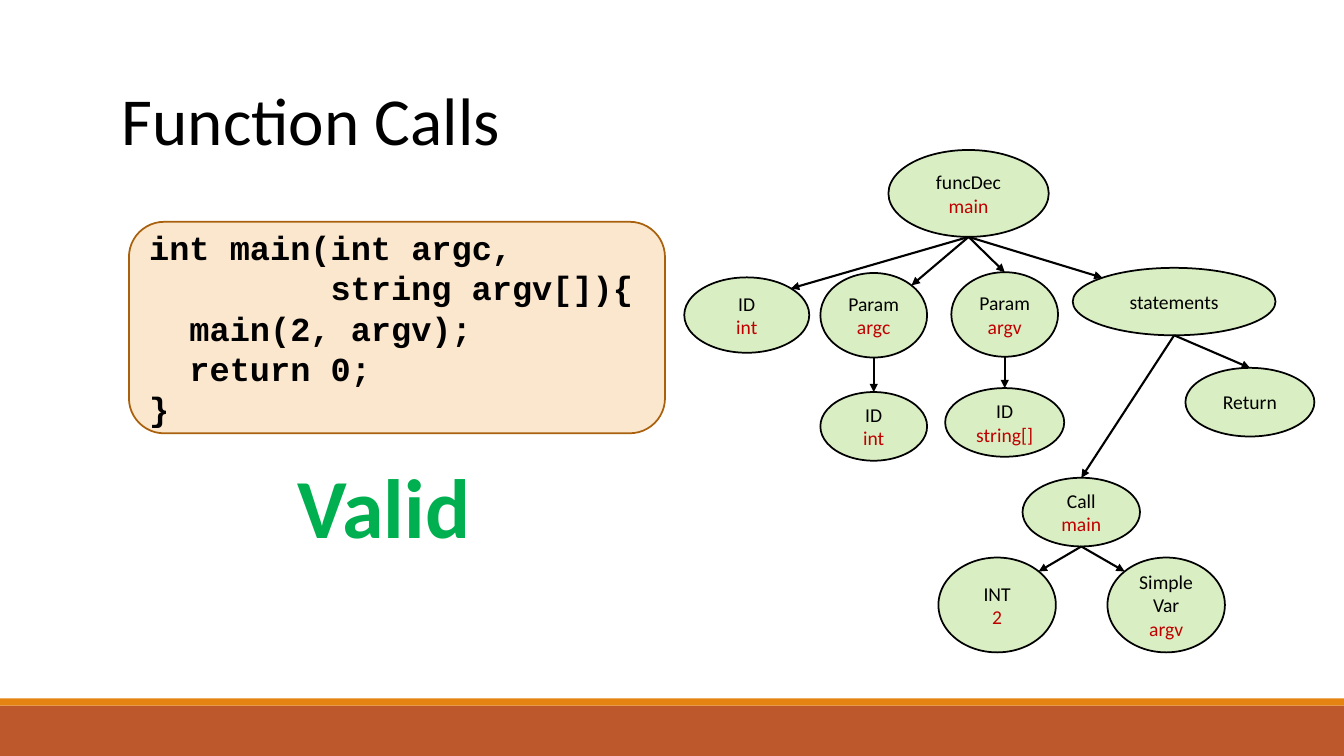
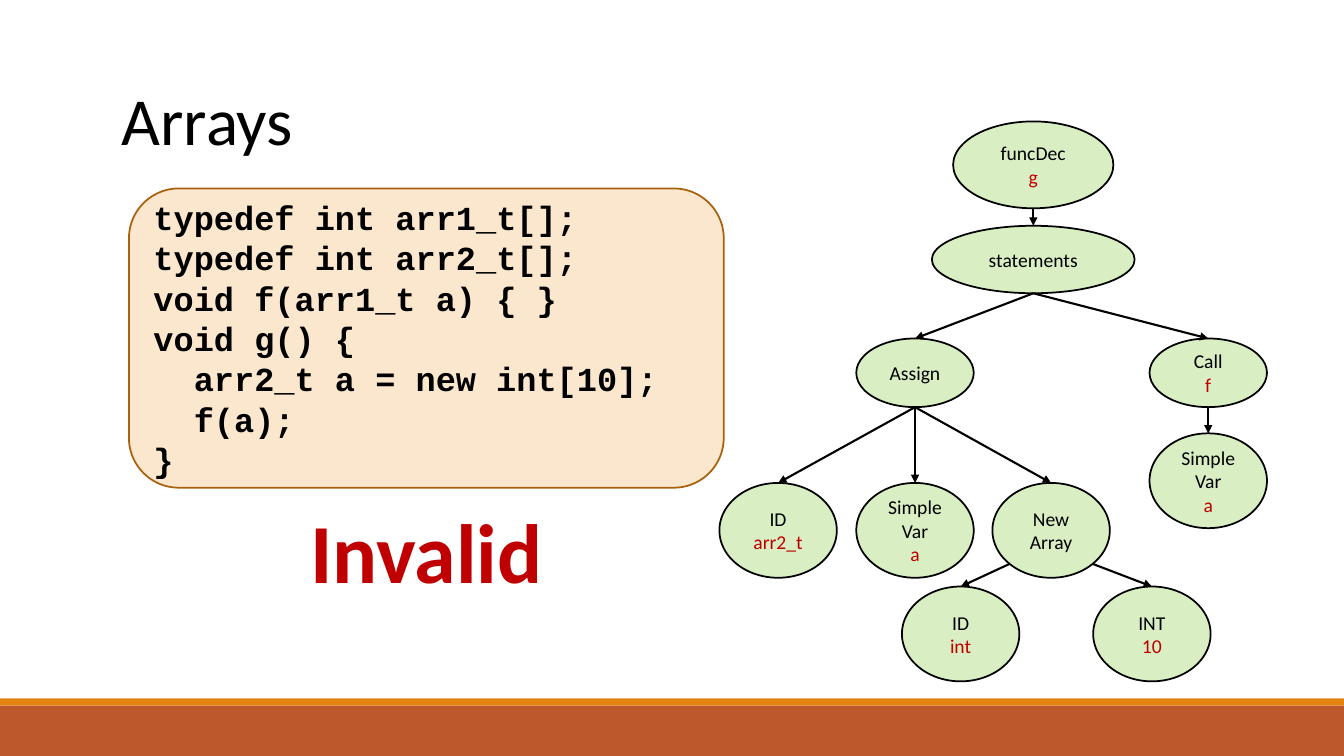
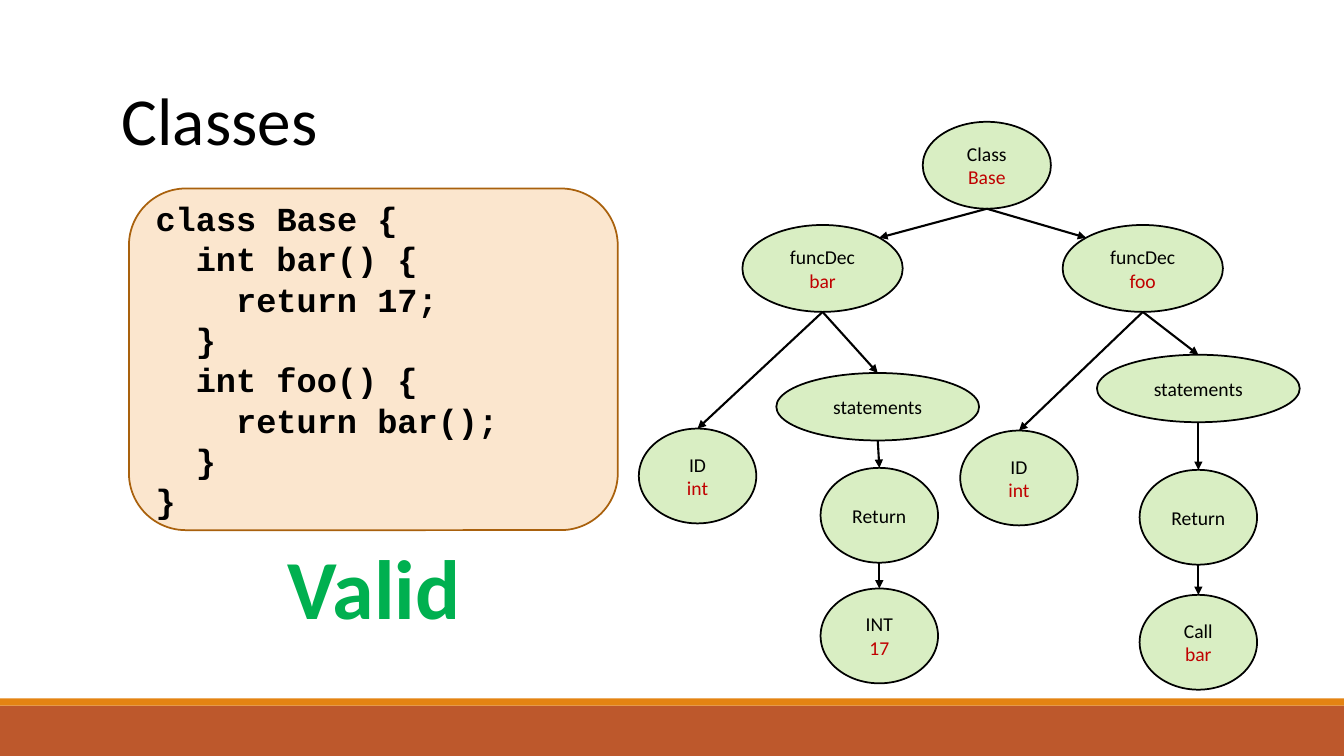
from dataclasses import dataclass
from math import sqrt

from lxml.etree import SubElement
from pptx import Presentation
from pptx.dml.color import RGBColor
from pptx.enum.shapes import MSO_CONNECTOR, MSO_SHAPE
from pptx.enum.text import MSO_ANCHOR, PP_ALIGN
from pptx.oxml.ns import qn
from pptx.util import Cm, Pt

# Shared look
WIDTH, HEIGHT = 33.87, 19.05
BLACK, RED, GREEN = "000000", "C00000", "00B050"
NODE_FILL, NODE_OPACITY = "92D050", 34
CODE_FILL, CODE_LINE = "FBE6CE", "A9610D"
BANDS = [(17.78, 1.27, "BD582C"), (17.6, 0.18, "E48312")]
TITLE_FONT = {"name": "Calibri", "size": Pt(48)}
VERDICT_FONT = {"name": "Calibri", "size": Pt(60), "bold": True}
NODE_FONT = {"name": "Calibri", "size": Pt(14)}
CODE_FONT = {"name": "Courier New", "size": Pt(24), "bold": True}
CODE_COLUMN = Pt(14.4)
NO_MARGINS = {"margin_left": 0, "margin_right": 0,
              "margin_top": 0, "margin_bottom": 0}
DIAGONAL = sqrt(0.5)

# Node sizes, width by height
ROOT = (4.04, 2.19)
CLASS = (3.23, 2.19)
STATEMENTS = (5.11, 1.7)
CALL = (2.96, 1.73)
LEAF = (2.96, 2.39)
PARAM = (2.69, 2.13)
PARAM_TYPE = (2.69, 1.73)


@dataclass
class Node:
    """A tree node, placed by its centre line and its top."""
    x: float
    top: float
    size: tuple
    label: str
    value: str = ""

    def edge_point(self, side, upward):
        """Outline point: side is -1 left, 0 middle or 1 right."""
        width, height = self.size
        reach = DIAGONAL if side else 1
        rise = -reach if upward else reach
        return (Cm(self.x + side * DIAGONAL * width / 2),
                Cm(self.top + height / 2 * (1 + rise)))


def color(hex_code):
    return RGBColor.from_string(hex_code)


def set_formats(target, formats):
    for name, value in formats.items():
        setattr(target, name, value)


def add_line(frame, index, text, font, hex_code, align=PP_ALIGN.LEFT):
    paragraph = frame.paragraphs[0] if index == 0 else frame.add_paragraph()
    paragraph.alignment = align
    run = paragraph.add_run()
    run.text = text
    set_formats(run.font, font)
    run.font.color.rgb = color(hex_code)
    return paragraph


def add_box(slide, preset, left, top, width, height, fill, line=None):
    box = slide.shapes.add_shape(preset, Cm(left), Cm(top), Cm(width), Cm(height))
    box.shadow.inherit = False
    box.fill.solid()
    box.fill.fore_color.rgb = color(fill)
    if line:
        box.line.color.rgb = color(line)
        box.line.width = Pt(1.25)
    else:
        box.line.fill.background()
    box.text_frame.vertical_anchor = MSO_ANCHOR.MIDDLE
    return box


def add_text(slide, left, top, width, height, text, font, hex_code, align):
    frame = slide.shapes.add_textbox(
        Cm(left), Cm(top), Cm(width), Cm(height)).text_frame
    frame.word_wrap = True
    add_line(frame, 0, text, font, hex_code, align)


def add_code(slide, top, width, height, code):
    frame = add_box(slide, MSO_SHAPE.ROUNDED_RECTANGLE, 3.25, top, width, height,
                    CODE_FILL, CODE_LINE).text_frame
    for index, source_line in enumerate(code.strip().splitlines()):
        statement = source_line.lstrip()
        columns = len(source_line) - len(statement)
        paragraph = add_line(frame, index, statement, CODE_FONT, BLACK)
        # Indent by whole monospaced columns
        properties = paragraph._p.get_or_add_pPr()
        properties.set("marL", str(columns * CODE_COLUMN))
        properties.set("indent", "0")


def add_verdict(slide, left, top, valid):
    add_text(slide, left, top, 7.77, 2.82, "Valid" if valid else "Invalid",
             VERDICT_FONT, GREEN if valid else RED, PP_ALIGN.CENTER)


def add_node(slide, node):
    width, height = node.size
    oval = add_box(slide, MSO_SHAPE.OVAL, node.x - width / 2, node.top,
                   width, height, NODE_FILL, BLACK)
    fill_color = oval._element.spPr.find(qn("a:solidFill"))[0]
    SubElement(fill_color, qn("a:alpha"), val=str(NODE_OPACITY * 1000))
    set_formats(oval.text_frame, NO_MARGINS)
    lines = [(word, BLACK) for word in node.label.split()]
    if node.value:
        lines.append((node.value, RED))
    for index, (text, hex_code) in enumerate(lines):
        add_line(oval.text_frame, index, text, NODE_FONT, hex_code,
                 PP_ALIGN.CENTER)


def add_arrow(slide, parent, child, child_side=0, parent_side=0):
    arrow = slide.shapes.add_connector(
        MSO_CONNECTOR.STRAIGHT,
        *parent.edge_point(parent_side, upward=False),
        *child.edge_point(child_side, upward=True))
    arrow.line.color.rgb = color(BLACK)
    arrow.line.width = Pt(1.5)
    SubElement(arrow.line._get_or_add_ln(), qn("a:tailEnd"), type="triangle")
    SubElement(arrow._element.spPr, qn("a:effectLst"))


def add_tree(slide, nodes, edges):
    for node in nodes:
        add_node(slide, node)
    for edge in edges:
        add_arrow(slide, *edge)


def new_slide(deck, title):
    slide = deck.slides.add_slide(deck.slide_layouts[6])
    for top, height, fill in BANDS:
        add_box(slide, MSO_SHAPE.RECTANGLE, 0, top, WIDTH, height, fill)
    add_text(slide, 2.82, 1.85, 28.17, 2.31, title, TITLE_FONT, BLACK,
             PP_ALIGN.LEFT)
    return slide


def function_calls(deck):
    slide = new_slide(deck, "Function Calls")
    add_code(slide, 5.59, 13.51, 5.33, """
int main(int argc,
         string argv[]){
  main(2, argv);
  return 0;
}""")
    add_verdict(slide, 5.79, 11.33, valid=True)

    main_dec = Node(24.41, 3.78, ROOT, "funcDec", "main")
    return_type = Node(18.82, 6.99, (3.15, 1.9), "ID", "int")
    argc = Node(22.02, 6.88, PARAM, "Param", "argc")
    argv = Node(25.32, 6.86, PARAM, "Param", "argv")
    body = Node(29.59, 6.75, STATEMENTS, "statements")
    argc_type = Node(22.02, 9.88, PARAM_TYPE, "ID", "int")
    argv_type = Node(25.32, 9.78, (3.0, 1.73), "ID", "string[]")
    return_zero = Node(31.5, 9.27, (3.25, 1.73), "Return")
    call = Node(27.25, 12.04, CALL, "Call", "main")
    two = Node(25.13, 14.05, LEAF, "INT", "2")
    argv_use = Node(29.39, 14.05, LEAF, "Simple Var", "argv")
    add_tree(slide,
             [main_dec, return_type, argc, argv, body, argc_type, argv_type,
              return_zero, call, two, argv_use],
             [(main_dec, return_type, 1), (main_dec, argc, 1),
              (main_dec, argv), (main_dec, body, -1),
              (argc, argc_type), (argv, argv_type),
              (body, return_zero), (body, call),
              (call, two, 1), (call, argv_use, -1)])


def arrays(deck):
    slide = new_slide(deck, "Arrays")
    add_code(slide, 4.75, 14.99, 7.54, """
typedef int arr1_t[];
typedef int arr2_t[];
void f(arr1_t a) { }
void g() {
  arr2_t a = new int[10];
  f(a);
}""")
    add_verdict(slide, 6.86, 12.45, valid=False)

    g_dec = Node(26.04, 3.06, ROOT, "funcDec", "g")
    body = Node(26.04, 5.69, STATEMENTS, "statements")
    assign = Node(23.06, 8.53, CALL, "Assign")
    call = Node(30.45, 8.53, CALL, "Call", "f")
    argument = Node(30.45, 10.92, LEAF, "Simple Var", "a")
    array_type = Node(19.61, 12.17, LEAF, "ID", "arr2_t")
    variable = Node(23.06, 12.17, LEAF, "Simple Var", "a")
    new_array = Node(26.49, 12.17, LEAF, "New Array")
    item_type = Node(24.21, 14.78, LEAF, "ID", "int")
    length = Node(29.03, 14.78, LEAF, "INT", "10")
    add_tree(slide,
             [g_dec, body, assign, call, argument, array_type, variable,
              new_array, item_type, length],
             [(g_dec, body), (body, assign), (body, call), (call, argument),
              (assign, array_type), (assign, variable), (assign, new_array),
              (new_array, item_type, 0, -1), (new_array, length, 0, 1)])


def classes(deck):
    slide = new_slide(deck, "Classes")
    add_code(slide, 4.75, 12.32, 8.61, """
class Base {
  int bar() {
    return 17;
  }
  int foo() {
    return bar();
  }
}""")
    add_verdict(slide, 5.54, 13.36, valid=True)

    base = Node(24.87, 3.07, CLASS, "Class", "Base")
    bar = Node(20.73, 5.67, ROOT, "funcDec", "bar")
    bar_type = Node(17.58, 10.8, LEAF, "ID", "int")
    bar_body = Node(22.12, 9.4, STATEMENTS, "statements")
    bar_return = Node(22.16, 11.79, LEAF, "Return")
    seventeen = Node(22.16, 14.83, LEAF, "INT", "17")
    foo = Node(28.8, 5.67, ROOT, "funcDec", "foo")
    foo_type = Node(25.68, 10.85, LEAF, "ID", "int")
    foo_body = Node(30.2, 8.94, STATEMENTS, "statements")
    foo_return = Node(30.2, 11.84, LEAF, "Return")
    bar_call = Node(30.2, 14.99, LEAF, "Call", "bar")
    add_tree(slide,
             [base, bar, bar_type, bar_body, bar_return, seventeen,
              foo, foo_type, foo_body, foo_return, bar_call],
             [(base, bar, 1), (base, foo, -1),
              (bar, bar_type), (bar, bar_body),
              (bar_body, bar_return), (bar_return, seventeen),
              (foo, foo_type), (foo, foo_body),
              (foo_body, foo_return), (foo_return, bar_call)])


def main():
    deck = Presentation()
    set_formats(deck, {"slide_width": Cm(WIDTH), "slide_height": Cm(HEIGHT)})
    function_calls(deck)
    arrays(deck)
    classes(deck)
    deck.save("out.pptx")


main()
